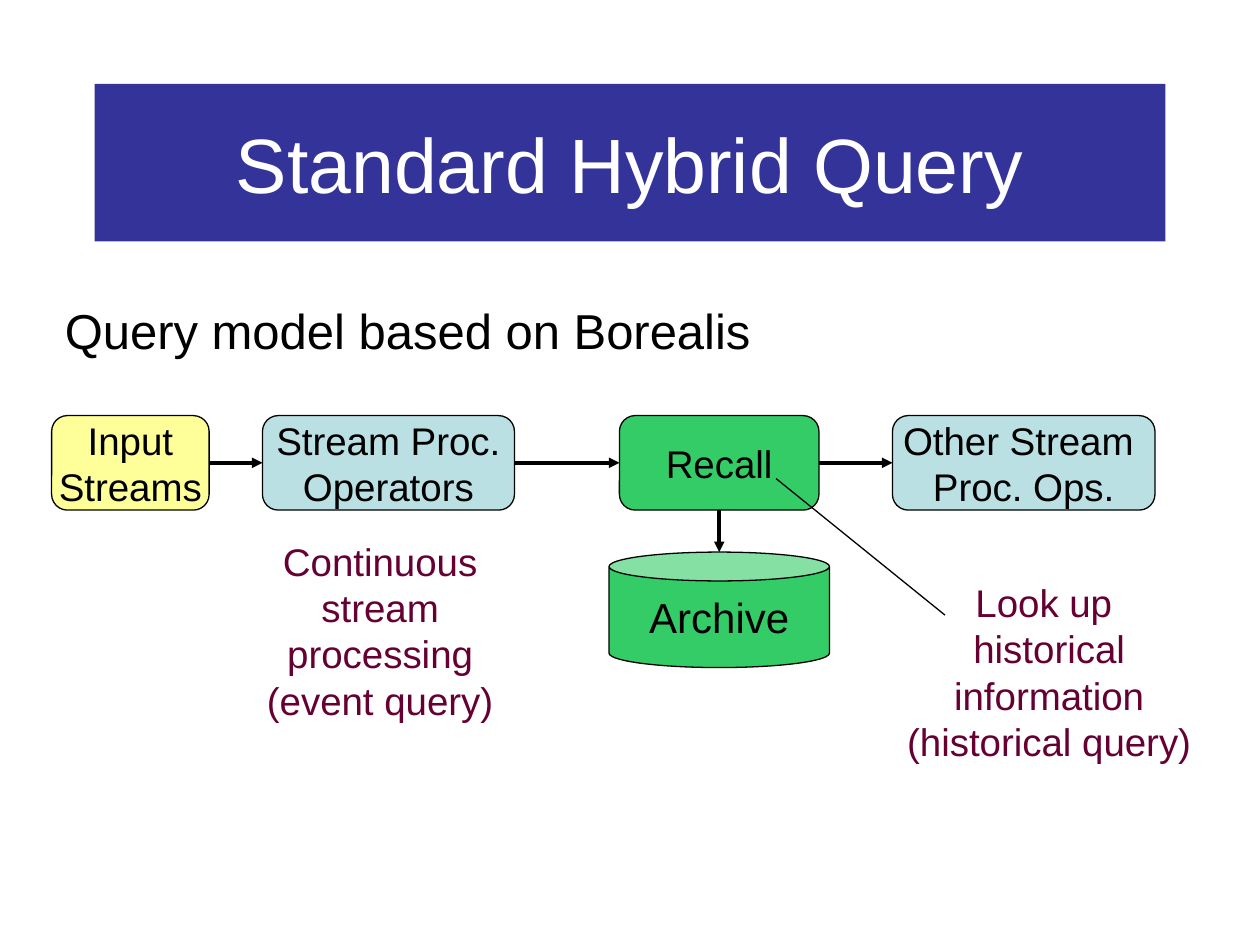
from lxml.etree import SubElement
from pptx import Presentation
from pptx.dml.color import RGBColor
from pptx.enum.shapes import MSO_CONNECTOR, MSO_SHAPE
from pptx.enum.text import MSO_ANCHOR, MSO_AUTO_SIZE, PP_ALIGN
from pptx.oxml.ns import qn
from pptx.util import Pt

BLACK, BLUE, GREEN, WINE = "000000", "BBE0E3", "33CC66", "660033"
TOP, TALL = 237.5, 54


def color(code):
    return RGBColor.from_string(code)


def apply(obj, vals):
    for name, val in vals.items():
        setattr(obj, name, val)


def paint(shape, code):
    shape.fill.solid()
    shape.fill.fore_color.rgb = color(code)


def write(shape, text, size=22, ink=BLACK, align=PP_ALIGN.CENTER,
          anchor=MSO_ANCHOR.MIDDLE, fit=MSO_AUTO_SIZE.NONE, wrap=False):
    frame = shape.text_frame
    frame.text = text
    apply(frame, {"word_wrap": wrap, "auto_size": fit,
                  "vertical_anchor": anchor})
    for para in frame.paragraphs:
        para.alignment = align
        apply(para.font, {"name": "Arial", "size": Pt(size)})
        para.font.color.rgb = color(ink)


def add_title(slide, text):
    title = slide.shapes.title
    apply(title, {"left": Pt(54), "top": Pt(48),
                  "width": Pt(612), "height": Pt(90)})
    paint(title, "333399")
    write(title, text, 44, "FFFFFF", wrap=True)


def add_node(slide, kind, box, fill, text, size=22):
    node = slide.shapes.add_shape(kind, *map(Pt, box))
    node.shadow.inherit = False
    paint(node, fill)
    node.line.color.rgb = color(BLACK)
    node.line.width = Pt(0.75)
    write(node, text, size)
    return node


def add_note(slide, box, text, size=22, ink=WINE, align=PP_ALIGN.CENTER):
    note = slide.shapes.add_textbox(*map(Pt, box))
    write(note, text, size, ink, align, MSO_ANCHOR.TOP,
          MSO_AUTO_SIZE.SHAPE_TO_FIT_TEXT)


def add_line(slide, start, end, width=0.75):
    line = slide.shapes.add_connector(
        MSO_CONNECTOR.STRAIGHT, *map(Pt, start + end))
    line.line.color.rgb = color(BLACK)
    line.line.width = Pt(width)
    SubElement(line._element.spPr, qn("a:effectLst"))
    return line


def add_arrow(slide, start, end):
    line = add_line(slide, start, end, 2)
    SubElement(line.line._get_or_add_ln(), qn("a:tailEnd"), type="triangle")
    return line


def main():
    deck = Presentation()
    apply(deck, {"slide_width": Pt(720), "slide_height": Pt(540)})
    slide = deck.slides.add_slide(deck.slide_layouts[5])
    add_title(slide, "Standard Hybrid Query")
    add_note(slide, (30, 168, 406, 41), "Query model based on Borealis",
             28, BLACK, PP_ALIGN.LEFT)

    steps = [
        (29.5, 90, "FFFF99", "Input\nStreams"),
        (150, 144, BLUE, "Stream Proc.\nOperators"),
        (354, 114, GREEN, "Recall"),
        (510, 150, BLUE, "Other Stream \nProc. Ops."),
    ]
    nodes = [add_node(slide, MSO_SHAPE.ROUNDED_RECTANGLE,
                      (left, TOP, wide, TALL), fill, text)
             for left, wide, fill, text in steps]
    mid = TOP + TALL / 2
    for (left, wide, *_), step, a, b in zip(
            steps, steps[1:], nodes, nodes[1:]):
        arrow = add_arrow(slide, (left + wide, mid), (step[0], mid))
        arrow.begin_connect(a, 3)
        arrow.end_connect(b, 1)

    add_node(slide, MSO_SHAPE.CAN, (348, 315.5, 126, 66),
             GREEN, "Archive", 24)
    down = add_arrow(slide, (411, TOP + TALL), (411, 315.5))
    down.begin_connect(nodes[2], 2)

    add_note(slide, (120.5, 304, 193.5, 86.5),
             "Continuous\nstream processing\n(event query)")
    add_note(slide, (492, 327.5, 215, 86.5),
             "Look up \nhistorical information\n(historical query)")
    add_line(slide, (540, 351.5), (443.5, 273.5))
    deck.save("out.pptx")


if __name__ == "__main__":
    main()
